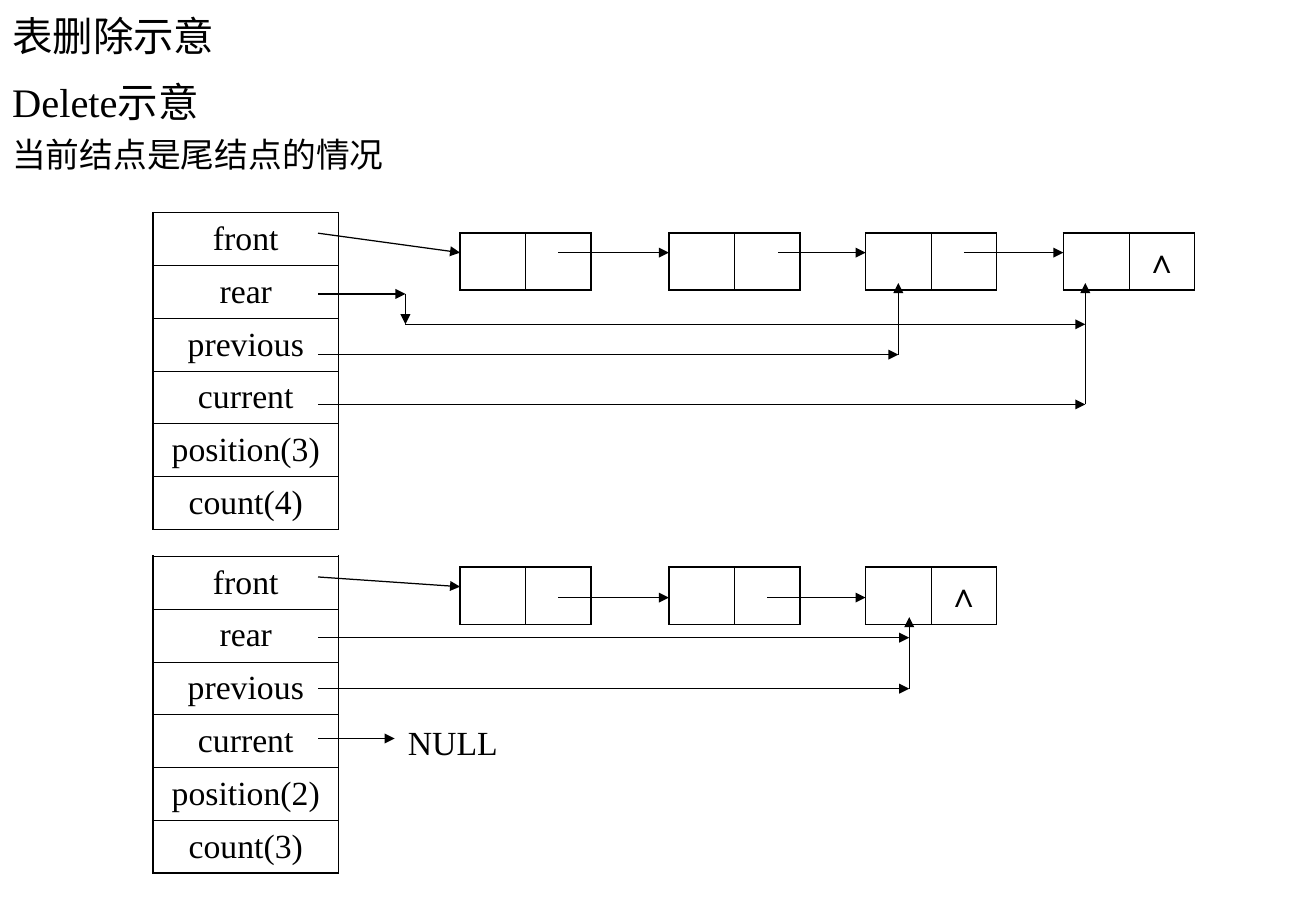
from itertools import pairwise

from lxml import etree
from pptx import Presentation
from pptx.dml.color import RGBColor
from pptx.enum.shapes import MSO_CONNECTOR
from pptx.enum.text import MSO_ANCHOR, MSO_AUTO_SIZE, PP_ALIGN
from pptx.oxml.ns import qn
from pptx.util import Pt

PX = 4572  # EMU per px, 200 px to the inch
SLIDE_W, SLIDE_H = 2168, 1500
BLACK = RGBColor(0, 0, 0)
FONT = "Times New Roman"
LEFT, CENTER = PP_ALIGN.LEFT, PP_ALIGN.CENTER
TOP, MIDDLE = MSO_ANCHOR.TOP, MSO_ANCHOR.MIDDLE
NO_AUTOFIT = MSO_AUTO_SIZE.NONE
STRAIGHT = MSO_CONNECTOR.STRAIGHT

OUTER, INNER = Pt(1.08), Pt(0.45)
FIELD_W, FIELD_H = 306, 87
NODE_W, NODE_H = 216, 94
INDENT = 76
POINTER_X = 272  # where a pointer leaves its field

# All points are relative to the top left corner of the record table
BEFORE = {
    "fields": ["front", "rear", "previous", "current", "position(3)", "count(4)"],
    "node_top": 34,
    "node_lefts": [506, 850, 1174, 1500],
    "routes": [
        [(POINTER_X, 34), (506, 66)],
        [(668, 66), (850, 66)],
        [(1030, 66), (1174, 66)],
        [(1336, 66), (1500, 66)],
        [(POINTER_X, 134), (416, 134), (416, 184), (1536, 184)],
        [(POINTER_X, 234), (1228, 234), (1228, 116)],
        [(POINTER_X, 316), (1536, 316), (1536, 116)],
    ],
}
AFTER = {
    "fields": ["front", "rear", "previous", "current", "position(2)", "count(3)"],
    "node_top": 18,
    "node_lefts": [506, 850, 1174],
    "routes": [
        [(POINTER_X, 34), (506, 50)],
        [(668, 68), (850, 68)],
        [(1012, 68), (1174, 68)],
        [(POINTER_X, 134), (1246, 134)],
        [(POINTER_X, 218), (1246, 218), (1246, 100)],
        [(POINTER_X, 300), (398, 300)],
    ],
}


def px(*lengths):
    return [length * PX for length in lengths]


def write(paragraph, text, size, align=LEFT, before=0):
    paragraph.alignment = align
    paragraph.space_before = Pt(before)
    run = paragraph.add_run()
    run.text = text
    for name, value in {"size": Pt(size), "name": FONT}.items():
        setattr(run.font, name, value)
    run.font.color.rgb = BLACK


def place(shape, box, anchor):
    shape.left, shape.top, shape.width, shape.height = px(*box)
    frame = shape.text_frame
    settings = {"word_wrap": True, "auto_size": NO_AUTOFIT, "vertical_anchor": anchor}
    for name, value in settings.items():
        setattr(frame, name, value)
    return frame


def add_border(cell, side, width):
    line = etree.SubElement(cell._tc.get_or_add_tcPr(), qn(f"a:ln{side}"), w=str(width))
    fill = etree.SubElement(line, qn("a:solidFill"))
    etree.SubElement(fill, qn("a:srgbClr"), val=str(BLACK))


def add_grid(slide, box, rows):
    """Table with a heavy frame, light inner lines and centred text."""
    row_count, column_count = len(rows), len(rows[0])
    table = slide.shapes.add_table(row_count, column_count, *px(*box)).table
    table.first_row = table.horz_banding = False
    for r, texts in enumerate(rows):
        for c, text in enumerate(texts):
            cell = table.cell(r, c)
            on_frame = {
                "L": c == 0,
                "R": c == column_count - 1,
                "T": r == 0,
                "B": r == row_count - 1,
            }
            for side, outer in on_frame.items():
                add_border(cell, side, OUTER if outer else INNER)
            cell.fill.background()
            cell.vertical_anchor = MIDDLE
            if text:
                write(cell.text_frame.paragraphs[0], text, 20, CENTER)


def add_arrow(slide, start, end):
    arrow = slide.shapes.add_connector(STRAIGHT, *px(*start, *end))
    arrow.line.color.rgb = BLACK
    arrow.line.width = Pt(0.75)
    etree.SubElement(arrow.line._get_or_add_ln(), qn("a:tailEnd"), type="triangle")
    etree.SubElement(arrow._element.spPr, qn("a:effectLst"))


def add_headings(slide):
    title = place(slide.shapes.title, (0, 0, 1842, 116), MIDDLE)
    write(title.paragraphs[0], "表删除示意", 24)

    body = place(slide.placeholders[1], (0, 116, 2094, 1334), TOP)
    lines = [("Delete示意", 24, 0), ("当前结点是尾结点的情况", 20, 5)]
    for index, (text, size, before) in enumerate(lines):
        paragraph = body.add_paragraph() if index else body.paragraphs[0]
        properties = paragraph._p.get_or_add_pPr()
        properties.set("marL", str(INDENT * PX))
        properties.set("indent", str(-INDENT * PX))
        etree.SubElement(properties, qn("a:buNone"))
        write(paragraph, text, size, before=before)


def add_linked_list(slide, left, top, state):
    """Record of pointers, its chain of nodes and the arrows between them."""
    fields = state["fields"]
    add_grid(slide, (left, top, FIELD_W, FIELD_H * len(fields)), [[f] for f in fields])

    last = state["node_lefts"][-1]
    for node_left in state["node_lefts"]:
        box = (left + node_left, top + state["node_top"], NODE_W, NODE_H)
        add_grid(slide, box, [["", "∧" if node_left == last else ""]])

    for route in state["routes"]:
        points = [(left + x, top + y) for x, y in route]
        for start, end in pairwise(points):
            add_arrow(slide, start, end)


def add_null(slide, left, top):
    box = (left, top, 180, 66)
    frame = place(slide.shapes.add_textbox(*px(*box)), box, MIDDLE)
    for side in ("left", "top", "right", "bottom"):
        setattr(frame, f"margin_{side}", 0)
    write(frame.paragraphs[0], "NULL", 20)


def main():
    deck = Presentation()
    deck.slide_width, deck.slide_height = px(SLIDE_W, SLIDE_H)
    slide = deck.slides.add_slide(deck.slide_layouts[1])
    add_headings(slide)
    add_linked_list(slide, 252, 350, BEFORE)
    add_linked_list(slide, 252, 916, AFTER)
    add_null(slide, 672, 1188)
    deck.save("out.pptx")


if __name__ == "__main__":
    main()
